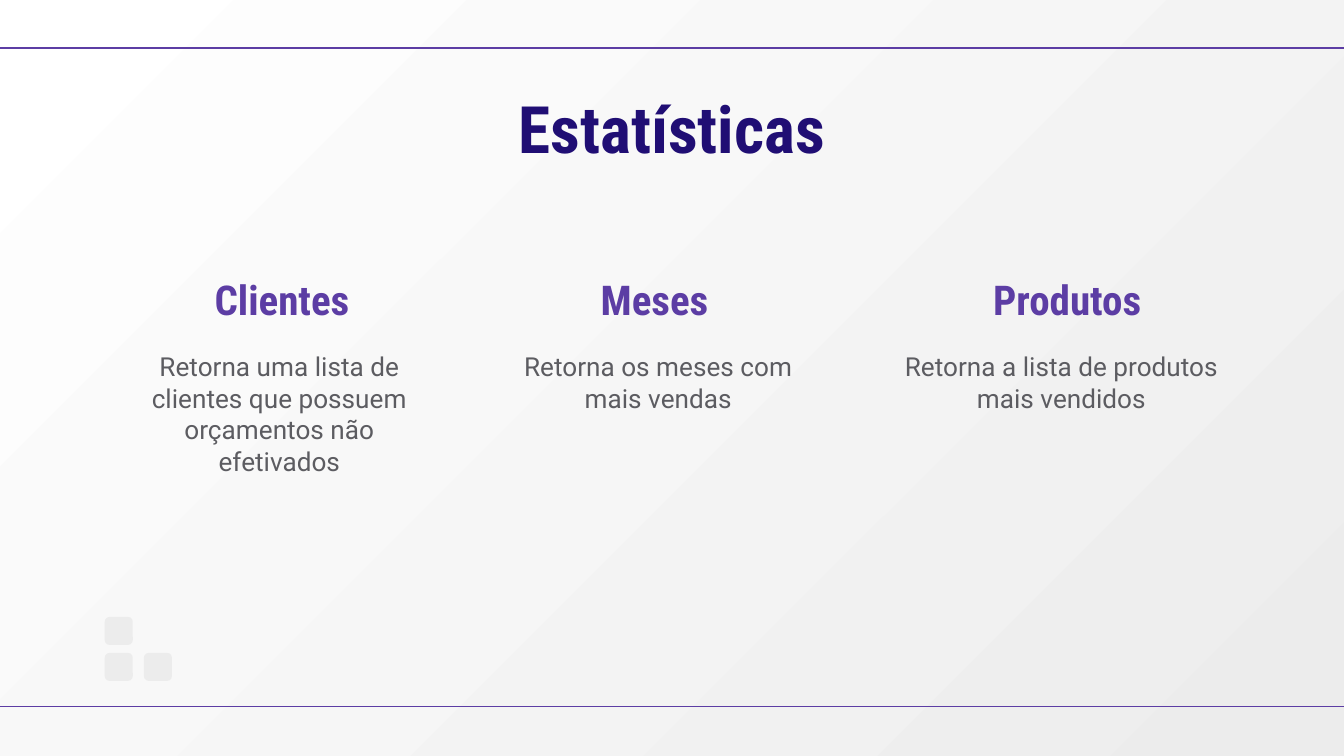
from dataclasses import dataclass

import pptx
import pptx.dml.color
import pptx.enum.shapes
import pptx.enum.text
import pptx.oxml.ns
import pptx.util
from lxml import etree
from pptx.util import Cm

COLORS = {
    "title": "200E74",
    "accent": "5C3DA4",
    "body": "5C5C61",
    "light": "FFFFFF",
    "shade": "ECECEC",
}
ANCHOR = pptx.enum.text.MSO_ANCHOR


@dataclass
class Statistic:
    """One column: heading, description and their left edges in cm."""
    heading: str
    description: str
    heading_left: float
    description_left: float


STATISTICS = [
    Statistic("Clientes", "Retorna uma lista de clientes que possuem orçamentos não efetivados",
              2.08, 2.03),
    Statistic("Meses", "Retorna os meses com mais vendas", 9.12, 9.19),
    Statistic("Produtos", "Retorna a lista de produtos mais vendidos", 16.92, 16.81),
]
COLUMN_WIDTH = 6.5


def rgb(name: str) -> pptx.dml.color.RGBColor:
    """Look up a named colour."""
    return pptx.dml.color.RGBColor.from_string(COLORS[name])


def place(shape, left: float, top: float, width: float, height: float) -> None:
    """Position a shape, in cm."""
    shape.left, shape.top, shape.width, shape.height = map(Cm, (left, top, width, height))


def write(shape, text: str, size: float, font: str, color: str, bold: bool, anchor) -> None:
    """Fill a shape with one centred, unbulleted paragraph."""
    frame = shape.text_frame
    frame.text = text
    frame.word_wrap = True
    frame.auto_size = pptx.enum.text.MSO_AUTO_SIZE.NONE
    frame.vertical_anchor = anchor
    frame.margin_left = frame.margin_right = Cm(0.25)
    frame.margin_top = frame.margin_bottom = Cm(0.25)
    paragraph = frame.paragraphs[0]
    paragraph.alignment = pptx.enum.text.PP_ALIGN.CENTER
    paragraph.line_spacing = 1.0
    paragraph.space_before = pptx.util.Pt(0)
    paragraph.font.size = pptx.util.Pt(size)
    paragraph.font.name = font
    paragraph.font.bold = bold
    paragraph.font.color.rgb = rgb(color)
    properties = paragraph._p.get_or_add_pPr()
    properties.set("marL", "0")
    properties.set("indent", "0")
    bullet = etree.Element(pptx.oxml.ns.qn("a:buNone"))
    properties.insert_element_before(bullet, "a:tabLst", "a:defRPr", "a:extLst")


def add_rule(slide, top: float, width: int) -> None:
    """Draw a horizontal rule across the slide."""
    rule = slide.shapes.add_connector(
        pptx.enum.shapes.MSO_CONNECTOR.STRAIGHT, 0, Cm(top), width, Cm(top))
    rule.line.color.rgb = rgb("accent")
    rule.line.width = pptx.util.Pt(0.75)
    etree.SubElement(rule._element.spPr, pptx.oxml.ns.qn("a:effectLst"))


def add_square(slide, left: float, top: float) -> None:
    """Draw one rounded decorative square."""
    square = slide.shapes.add_shape(
        pptx.enum.shapes.MSO_SHAPE.ROUNDED_RECTANGLE, Cm(left), Cm(top), Cm(0.53), Cm(0.53))
    square.shadow.inherit = False
    square.rotation = 270
    square.adjustments[0] = 0.17
    square.fill.solid()
    square.fill.fore_color.rgb = rgb("shade")
    square.line.fill.background()


def paint_background(slide) -> None:
    """Apply the diagonal gradient, light at the top left."""
    fill = slide.background.fill
    fill.gradient()
    fill.gradient_angle = 315
    for stop, color, position in zip(fill.gradient_stops, ("light", "shade"), (0, 1)):
        stop.color.rgb = rgb(color)
        stop.position = position


def main() -> None:
    """Build and save the slide."""
    deck = pptx.Presentation()
    deck.slide_width, deck.slide_height = Cm(25.4), Cm(14.29)
    comparison_layout = deck.slide_layouts[4]
    slide = deck.slides.add_slide(comparison_layout)
    paint_background(slide)

    for top in (0.91, 13.36):
        add_rule(slide, top, deck.slide_width)

    title = slide.shapes.title
    place(title, 2.49, 1.42, 20.42, 1.47)
    write(title, "Estatísticas", 35, "Roboto Condensed", "title", True, ANCHOR.TOP)

    descriptions = [slide.placeholders[index] for index in (1, 2, 3)]
    for statistic, description in zip(STATISTICS, descriptions):
        heading = slide.shapes.add_textbox(0, 0, 0, 0)
        place(heading, statistic.heading_left, 5.28, COLUMN_WIDTH, 1.09)
        write(heading, statistic.heading, 22, "Roboto Condensed", "accent", True, ANCHOR.BOTTOM)
        place(description, statistic.description_left, 6.38, COLUMN_WIDTH, 2.11)
        write(description, statistic.description, 14, "Roboto", "body", False, ANCHOR.TOP)

    unused = slide.placeholders[4]._element
    unused.getparent().remove(unused)

    for left, top in ((2.72, 12.34), (1.98, 12.34), (1.98, 11.66)):
        add_square(slide, left, top)

    deck.save("out.pptx")


main()
